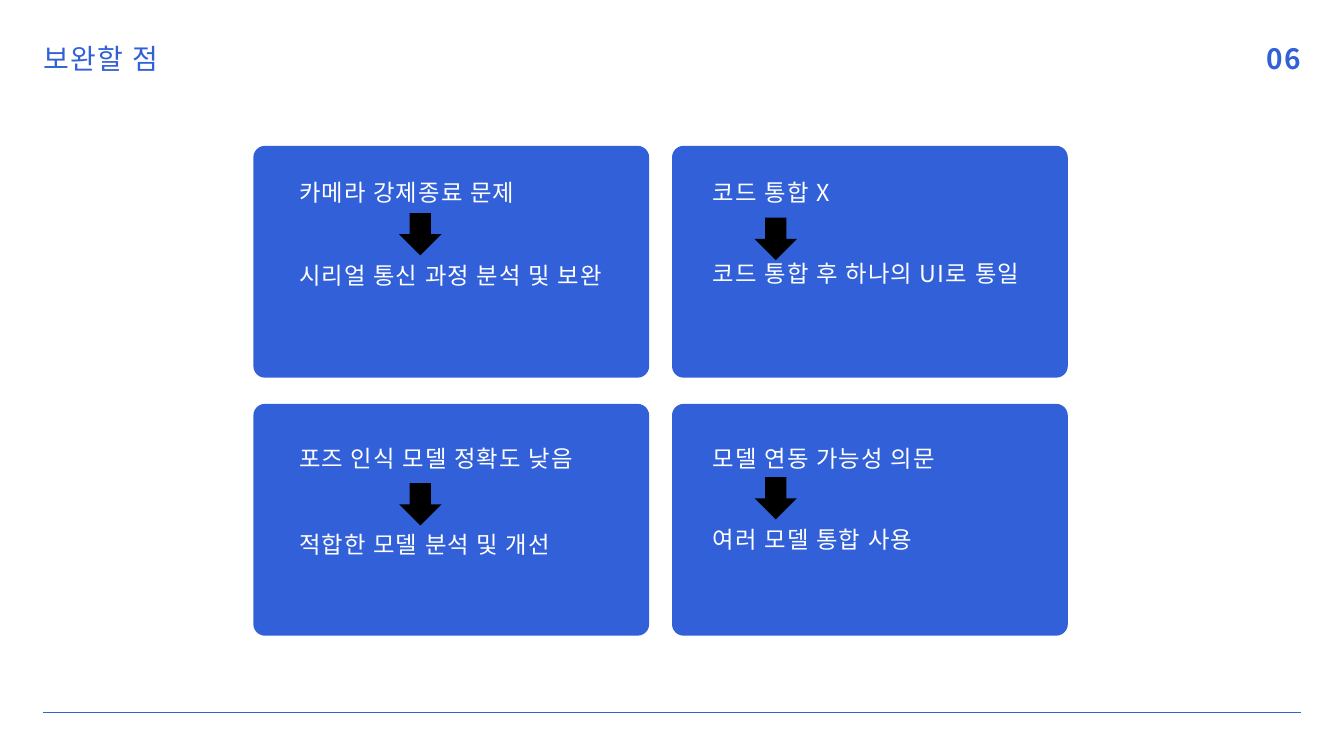
from dataclasses import dataclass

from lxml import etree
from pptx import Presentation
from pptx import util as u
from pptx.dml.color import RGBColor
from pptx.enum import shapes, text
from pptx.oxml import ns

WIDTH, HEIGHT = 20, 11.25
MARGIN = 0.64
BLUE, WHITE, BLACK = "3160D8", "FFFFFF", "000000"
FONT = "Noto Sans CJK SC"

# Card grid: origin, card size and gaps
GRID_X, GRID_Y = 3.77, 2.17
CARD_W, CARD_H = 5.89, 3.45
GAP_X, GAP_Y = 0.34, 0.39
CORNER = 0.05
ARROW = 0.63
TEXT_INSET = (0.68, 0.61)   # per column
ARROW_INSET = (2.17, 1.23)  # per column


@dataclass
class Card:
    col: int
    row: int
    problem: str
    remedy: str
    problem_y: float  # offsets from the top of the card
    arrow_y: float
    remedy_y: float


CARDS = [
    Card(0, 0, "카메라 강제종료 문제", "시리얼 통신 과정 분석 및 보완", 0.52, 1.0, 1.75),
    Card(0, 1, "포즈 인식 모델 정확도 낮음", "적합한 모델 분석 및 개선", 0.64, 1.18, 1.91),
    Card(1, 0, "코드 통합 X", "코드 통합 후 하나의 UI로 통일", 0.52, 1.07, 1.72),
    Card(1, 1, "모델 연동 가능성 의문", "여러 모델 통합 사용", 0.64, 1.09, 1.84),
]


def color(value: str) -> RGBColor:
    return RGBColor.from_string(value)


def add_block(s, kind, x: float, y: float, w: float, h: float, fill: str):
    sp = s.shapes.add_shape(kind, *map(u.Inches, (x, y, w, h)))
    sp.shadow.inherit = False
    sp.fill.solid()
    sp.fill.fore_color.rgb = color(fill)
    sp.line.fill.background()
    return sp


def add_label(s, words: str, x: float, y: float, w: float, size: float,
              fill: str, bold: bool = False, align=text.PP_ALIGN.LEFT) -> None:
    h = size * 1.1 / 72
    tf = s.shapes.add_textbox(*map(u.Inches, (x, y, w, h))).text_frame
    frame = dict(word_wrap=True, margin_left=0, margin_right=0,
                 margin_top=0, margin_bottom=0)
    for key, value in frame.items():
        setattr(tf, key, value)
    p = tf.paragraphs[0]
    p.alignment, p.line_spacing = align, u.Pt(size * 1.1)
    r = p.add_run()
    r.text = words
    for key, value in dict(name=FONT, size=u.Pt(size), bold=bold).items():
        setattr(r.font, key, value)
    r.font.color.rgb = color(fill)
    # Letter spacing and the East Asian typeface
    props = r.font._element
    props.set("spc", "160" if size == 30 else "130")
    latin = props.find(ns.qn("a:latin"))
    ea = etree.Element(ns.qn("a:ea"), typeface=FONT)
    latin.addnext(ea)


def add_rule(s, x1: float, x2: float, y: float) -> None:
    line = s.shapes.add_connector(shapes.MSO_CONNECTOR.STRAIGHT,
                                  *map(u.Inches, (x1, y, x2, y)))
    line.line.color.rgb = color(BLUE)
    line.line.width = u.Pt(1.5)
    etree.SubElement(line._element.spPr, ns.qn("a:effectLst"))


def add_card(s, card: Card) -> None:
    x = GRID_X + card.col * (CARD_W + GAP_X)
    y = GRID_Y + card.row * (CARD_H + GAP_Y)
    box = add_block(s, shapes.MSO_SHAPE.ROUNDED_RECTANGLE, x, y, CARD_W, CARD_H, BLUE)
    box.adjustments[0] = CORNER
    inset = TEXT_INSET[card.col]
    for words, dy in ((card.problem, card.problem_y), (card.remedy, card.remedy_y)):
        add_label(s, words, x + inset, y + dy, CARD_W - inset, 25, WHITE)
    add_block(s, shapes.MSO_SHAPE.DOWN_ARROW, x + ARROW_INSET[card.col],
              y + card.arrow_y, ARROW, ARROW, BLACK)


def main() -> None:
    prs = Presentation()
    prs.slide_width, prs.slide_height = u.Inches(WIDTH), u.Inches(HEIGHT)
    s = prs.slides.add_slide(prs.slide_layouts[6])

    # Footer rule
    add_rule(s, MARGIN, WIDTH - MARGIN, 10.6)

    # Header: title and page number
    add_label(s, "보완할 점", MARGIN, 0.66, 6.29, 30, BLUE)
    add_label(s, "06", WIDTH - MARGIN - 3.1, 0.66, 3.1, 30, BLUE,
              bold=True, align=text.PP_ALIGN.RIGHT)

    # Problem and remedy cards
    for card in CARDS:
        add_card(s, card)

    prs.save("out.pptx")


if __name__ == "__main__":
    main()
